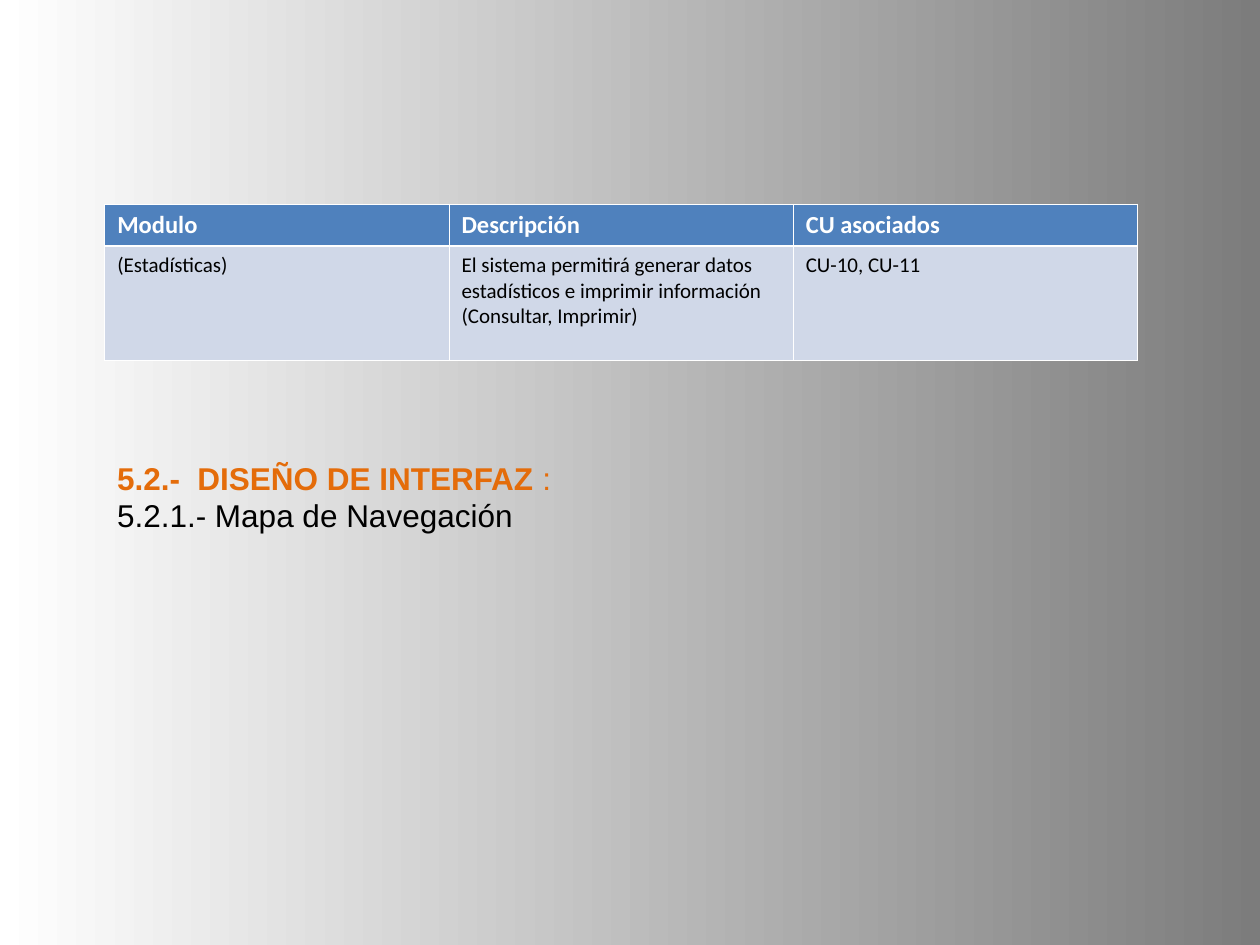
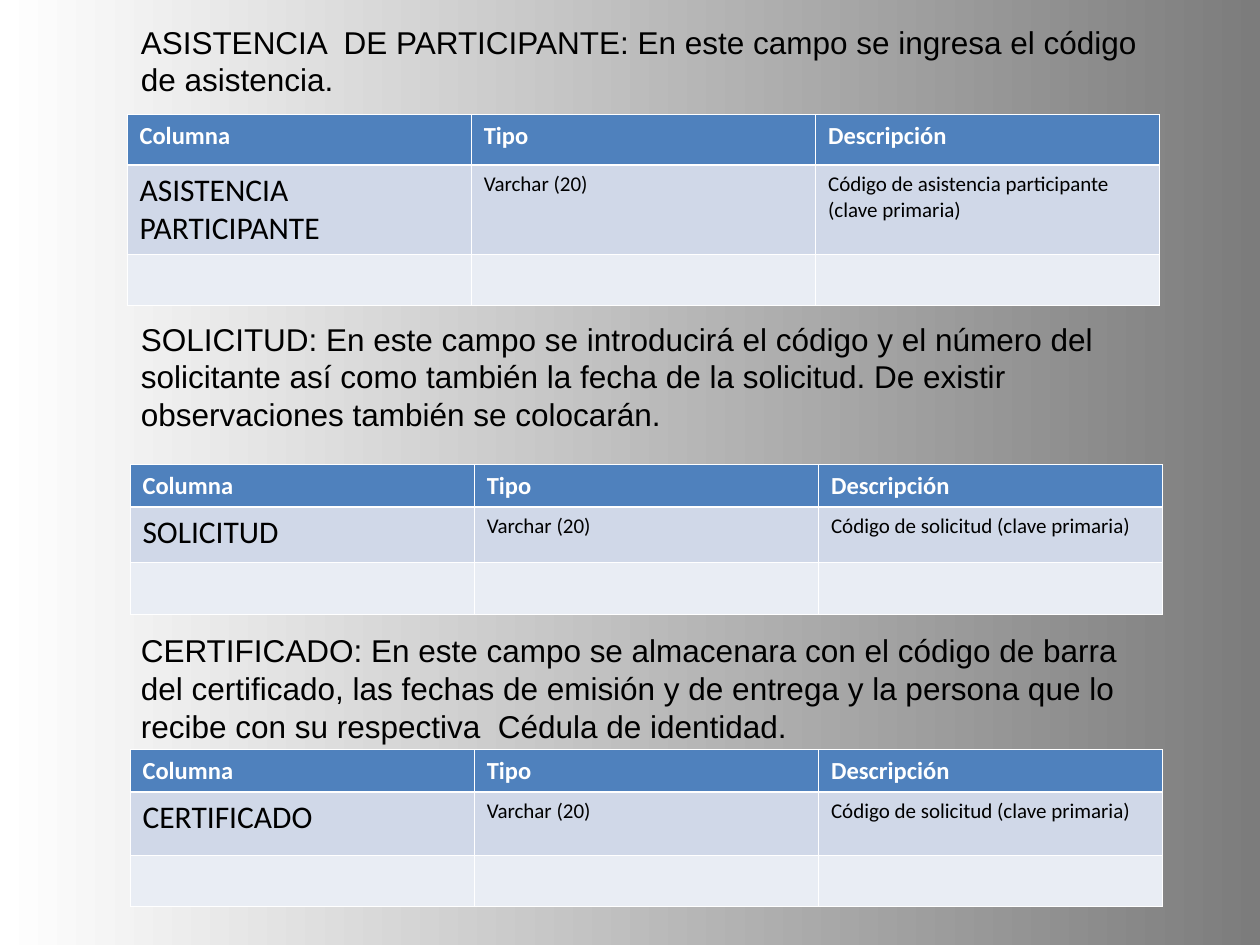
from dataclasses import dataclass

from lxml import etree
from pptx import Presentation
from pptx.dml.color import RGBColor
from pptx.enum.text import MSO_ANCHOR, MSO_AUTO_SIZE, PP_ALIGN
from pptx.oxml.ns import qn
from pptx.util import Cm, Pt

LEFT = PP_ALIGN.LEFT
TOP = MSO_ANCHOR.TOP
FIXED_SIZE = MSO_AUTO_SIZE.NONE
BLANK_LAYOUT = 6


@dataclass(frozen=True)
class Theme:
    white: str = "FFFFFF"
    black: str = "000000"
    grey: str = "7C7C7C"
    orange: str = "E46C0A"
    header_blue: str = "4F81BD"
    row_fills: tuple = ("D0D8E8", "E9EDF4")
    body_font: str = "Arial"
    table_font: str = "Calibri"
    body_size: float = 18
    header_size: float = 14
    cell_size: float = 12
    thin: float = 0.45
    thick: float = 1.47


class DeckBuilder:
    """Holds the theme, the deck and the page being filled."""

    def __init__(self, theme):
        self.theme = theme
        self.deck = Presentation()
        self.deck.slide_width = Cm(25.4)
        self.deck.slide_height = Cm(19.05)
        self.page = None

    def new_page(self):
        self.page = self.deck.slides.add_slide(self.deck.slide_layouts[BLANK_LAYOUT])
        fill = self.page.background.fill
        fill.gradient()
        fill.gradient_angle = 0
        colours = (self.theme.white, self.theme.grey)
        for position, (stop, colour) in enumerate(zip(fill.gradient_stops, colours)):
            stop.position = position
            stop.color.rgb = RGBColor.from_string(colour)

    def format_span(self, span, font, size, colour, bold=False):
        span.font.name = font
        span.font.size = Pt(size)
        span.font.bold = bold
        span.font.color.rgb = RGBColor.from_string(colour)

    def text(self, left, top, width, height, lines):
        """Each line is a list of (words, colour, bold) spans."""
        box = self.page.shapes.add_textbox(Cm(left), Cm(top), Cm(width), Cm(height))
        frame = box.text_frame
        frame.word_wrap = True
        frame.auto_size = FIXED_SIZE
        frame.vertical_anchor = TOP
        for index, line in enumerate(lines):
            para = frame.add_paragraph() if index else frame.paragraphs[0]
            para.alignment = LEFT
            for words, colour, bold in line:
                span = para.add_run()
                span.text = words
                self.format_span(span, self.theme.body_font, self.theme.body_size, colour, bold)

    def cell_borders(self, cell, top, bottom):
        properties = cell._tc.get_or_add_tcPr()
        thin = self.theme.thin
        edges = (("a:lnL", thin), ("a:lnR", thin), ("a:lnT", top), ("a:lnB", bottom))
        for index, (tag, width) in enumerate(edges):
            line = etree.Element(qn(tag), w=str(int(Pt(width))))
            solid = etree.SubElement(line, qn("a:solidFill"))
            etree.SubElement(solid, qn("a:srgbClr"), val=self.theme.white)
            properties.insert(index, line)

    def table(self, left, top, column_width, row_heights, rows, key_size):
        """The first row is the header; key_size is for the first column below it."""
        theme = self.theme
        columns = len(rows[0])
        frame = self.page.shapes.add_table(
            len(rows), columns, Cm(left), Cm(top),
            Cm(column_width * columns), Cm(sum(row_heights)))
        grid = frame.table
        grid.horz_banding = False
        for column in grid.columns:
            column.width = Cm(column_width)
        for row_index, (height, words) in enumerate(zip(row_heights, rows)):
            grid.rows[row_index].height = Cm(height)
            header = row_index == 0
            fill = theme.header_blue if header else theme.row_fills[(row_index - 1) % 2]
            for column_index, content in enumerate(words):
                cell = grid.cell(row_index, column_index)
                cell.fill.solid()
                cell.fill.fore_color.rgb = RGBColor.from_string(fill)
                self.cell_borders(cell, theme.thick if row_index == 1 else theme.thin,
                                  theme.thick if header else theme.thin)
                if not content:
                    continue
                cell.text_frame.text = content
                if header:
                    size, colour = theme.header_size, theme.white
                else:
                    size = theme.cell_size if column_index else key_size
                    colour = theme.black
                for span in cell.text_frame.paragraphs[0].runs:
                    self.format_span(span, theme.table_font, size, colour, header)


def main():
    theme = Theme()
    builder = DeckBuilder(theme)
    column_width = 6.94

    # Statistics module and interface design heading
    builder.new_page()
    builder.table(2.11, 4.11, column_width, (0.84, 2.29), (
        ("Modulo", "Descripción", "CU asociados"),
        ("(Estadísticas)",
         "El sistema permitirá generar datos estadísticos e imprimir información "
         "(Consultar, Imprimir)",
         "CU-10, CU-11"),
    ), theme.cell_size)
    builder.text(2.11, 9.12, 9.47, 4.06, (
        (("5.2.-  DISEÑO DE INTERFAZ ", theme.orange, True), (":", theme.orange, False)),
        (("5.2.1.- Mapa de Navegación", theme.black, False),),
    ))

    # Data dictionary: introduction and table for each field
    # (text top, text height, introduction, table left, table top, row heights, key, description)
    fields = (
        (0.33, 2.54,
         "ASISTENCIA  DE PARTICIPANTE: En este campo se ingresa el código de asistencia.",
         2.56, 2.31, (1.02, 1.78, 1.02), "ASISTENCIA  PARTICIPANTE",
         "Código de asistencia participante (clave primaria)"),
        (6.32, 3.3,
         "SOLICITUD: En este campo se introducirá el código y el número del solicitante "
         "así como también la fecha de la solicitud. De existir observaciones también "
         "se colocarán.",
         2.62, 9.37, (0.84, 1.12, 1.02), "SOLICITUD",
         "Código de solicitud (clave primaria)"),
        (12.6, 3.3,
         "CERTIFICADO: En este campo se almacenara con el código de barra del certificado, "
         "las fechas de emisión y de entrega y la persona que lo recibe con su respectiva  "
         "Cédula de identidad.",
         2.62, 15.11, (0.84, 1.27, 1.04), "CERTIFICADO",
         "Código de solicitud (clave primaria)"),
    )
    builder.new_page()
    for text_top, text_height, intro, left, top, heights, key, description in fields:
        builder.text(2.59, text_top, 20.8, text_height, (((intro, theme.black, False),),))
        builder.table(left, top, column_width, heights, (
            ("Columna", "Tipo", "Descripción"),
            (key, "Varchar (20)", description),
            ("", "", ""),
        ), theme.body_size)

    builder.deck.save("out.pptx")


if __name__ == "__main__":
    main()
